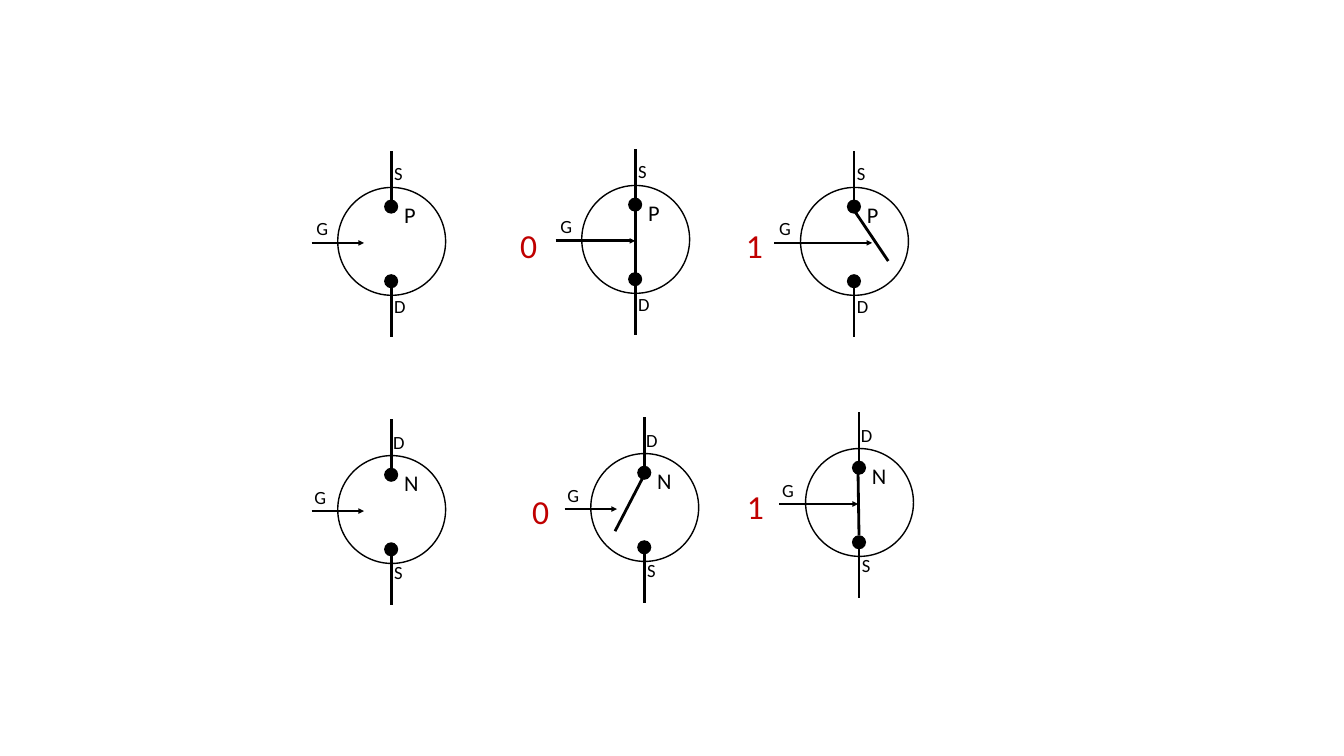
from lxml import etree
from pptx import Presentation
from pptx.dml.color import RGBColor
from pptx.enum.shapes import MSO_CONNECTOR, MSO_SHAPE
from pptx.enum.text import MSO_AUTO_SIZE
from pptx.oxml.ns import qn
from pptx.util import Inches, Pt

BLACK = RGBColor(0x00, 0x00, 0x00)
RED = RGBColor(0xC0, 0x00, 0x00)
FONT = "Calibri"
STRAIGHT = MSO_CONNECTOR.STRAIGHT
ELLIPSE = MSO_SHAPE.OVAL
FIT_SHAPE = MSO_AUTO_SIZE.SHAPE_TO_FIT_TEXT

BODY = 1.07
DOT = 0.14
STEM_X = 0.53
GATE_Y = 0.55
LABEL_SIZE = 13.3

# Terminal labels with their offsets from the body's top left corner
TERMINALS = {
    "P": [("S", 0.46, -0.30, 0.29), ("D", 0.46, 1.02, 0.32), ("G", -0.31, 0.24, 0.32)],
    "N": [("D", 0.45, -0.29, 0.32), ("S", 0.46, 1.00, 0.29), ("G", -0.33, 0.25, 0.32)],
}
TYPE_WIDTH = {"P": 0.32, "N": 0.35}

# Kind, body left and top, gate tip offset, blade offsets
TRANSISTORS = [
    ("P", 3.35, 1.86, 0.26, None),
    ("N", 3.35, 4.52, 0.26, None),
    ("N", 5.86, 4.50, 0.26, (0.52, 0.23, 0.24, 0.77)),
    ("N", 7.99, 4.45, 0.52, (0.52, 0.23, 0.53, 0.86)),
    ("P", 5.77, 1.84, 0.53, (0.53, 0.25, 0.53, 0.87)),
    ("P", 7.94, 1.86, 0.71, (0.52, 0.21, 0.87, 0.73)),
]
INPUT_VALUES = [("0", 5.06, 2.18), ("1", 7.30, 2.18), ("0", 5.18, 4.82), ("1", 7.31, 4.77)]


def add_circle(shapes, left, top, diameter, filled):
    circle = shapes.add_shape(
        ELLIPSE, Inches(left), Inches(top), Inches(diameter), Inches(diameter))
    circle.shadow.inherit = False
    if filled:
        circle.fill.solid()
        circle.fill.fore_color.rgb = BLACK
        circle.line.fill.background()
    else:
        circle.fill.background()
        circle.line.color.rgb = BLACK
        circle.line.width = Pt(1)


def add_wire(shapes, x1, y1, x2, y2, arrow=False):
    wire = shapes.add_connector(STRAIGHT, Inches(x1), Inches(y1), Inches(x2), Inches(y2))
    wire.line.color.rgb = BLACK
    wire.line.width = Pt(2)
    if arrow:
        etree.SubElement(wire.line._get_or_add_ln(), qn("a:tailEnd"),
                         type="triangle", w="sm", len="sm")
    etree.SubElement(wire._element.spPr, qn("a:effectLst"))


def add_label(shapes, text, left, top, width, height, size, color=BLACK):
    box = shapes.add_textbox(Inches(left), Inches(top), Inches(width), Inches(height))
    frame = box.text_frame
    frame.word_wrap = False
    frame.auto_size = FIT_SHAPE
    run = frame.paragraphs[0].add_run()
    run.text = text
    run.font.name = FONT
    run.font.size = Pt(size)
    run.font.color.rgb = color


def add_transistor(slide, kind, left, top, gate_tip, blade):
    """Group one switch symbol; left and top are those of its round body."""
    shapes = slide.shapes.add_group_shape().shapes
    stem_x = left + STEM_X
    gate_y = top + GATE_Y
    add_circle(shapes, left, top, BODY, filled=False)
    add_wire(shapes, left - 0.26, gate_y, left + gate_tip, gate_y, arrow=True)
    for outer, inner, dot_top in [(-0.36, 0.20, 0.12), (1.48, 0.92, 0.86)]:
        add_wire(shapes, stem_x, top + outer, stem_x, top + inner)
        add_circle(shapes, stem_x - DOT / 2, top + dot_top, DOT, filled=True)
    add_label(shapes, kind, left + 0.56, top + 0.09, TYPE_WIDTH[kind], 0.37, 16)
    for name, dx, dy, width in TERMINALS[kind]:
        add_label(shapes, name, left + dx, top + dy, width, 0.33, LABEL_SIZE)
    if blade:
        x1, y1, x2, y2 = blade
        add_wire(shapes, left + x1, top + y1, left + x2, top + y2)


def main():
    presentation = Presentation()
    presentation.slide_width = Inches(13.33)
    presentation.slide_height = Inches(7.5)
    slide = presentation.slides.add_slide(presentation.slide_layouts[6])
    for transistor in TRANSISTORS:
        add_transistor(slide, *transistor)
    for value, left, top in INPUT_VALUES:
        add_label(slide.shapes, value, left, top, 0.37, 0.5, 24, RED)
    presentation.save("out.pptx")


if __name__ == "__main__":
    main()
